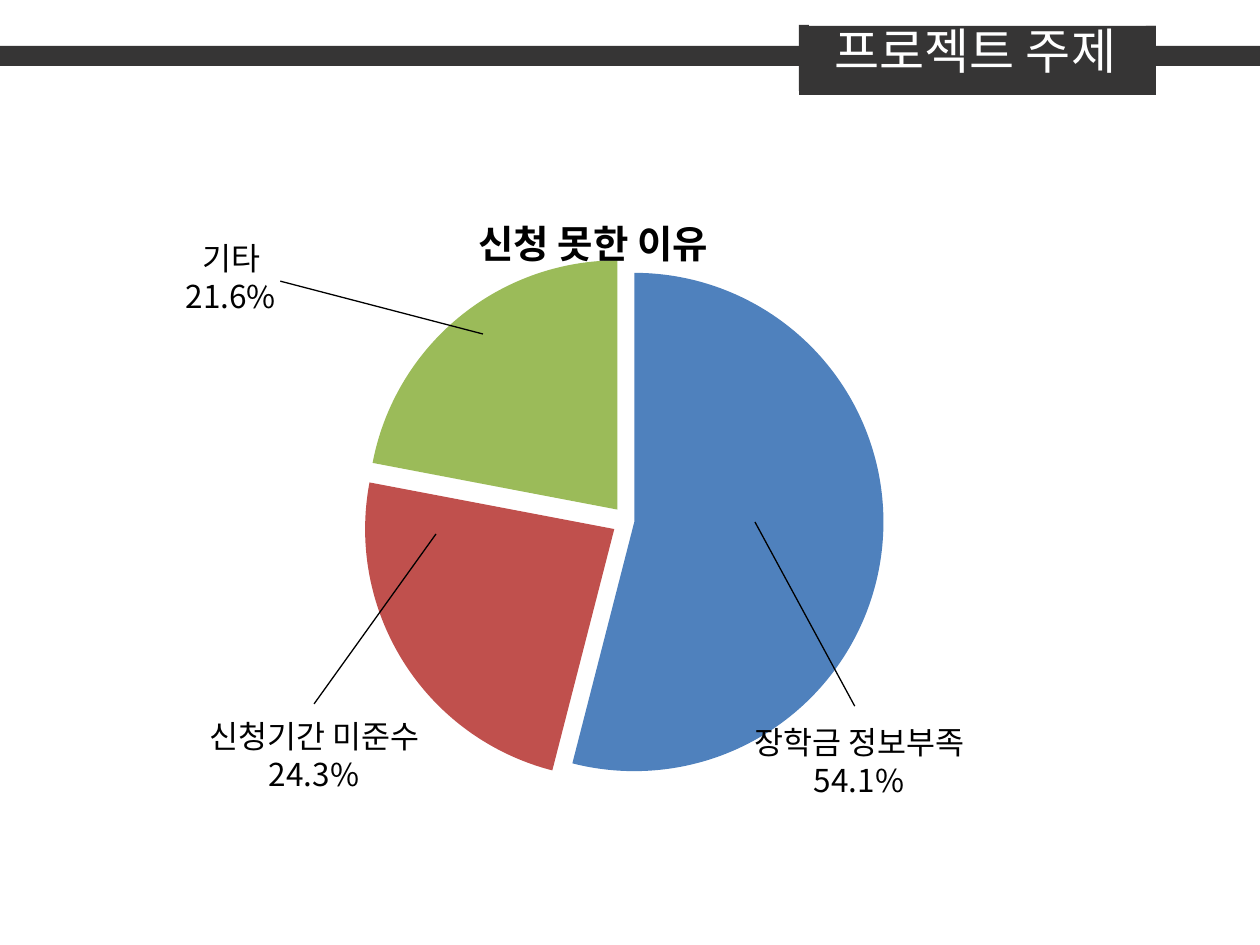
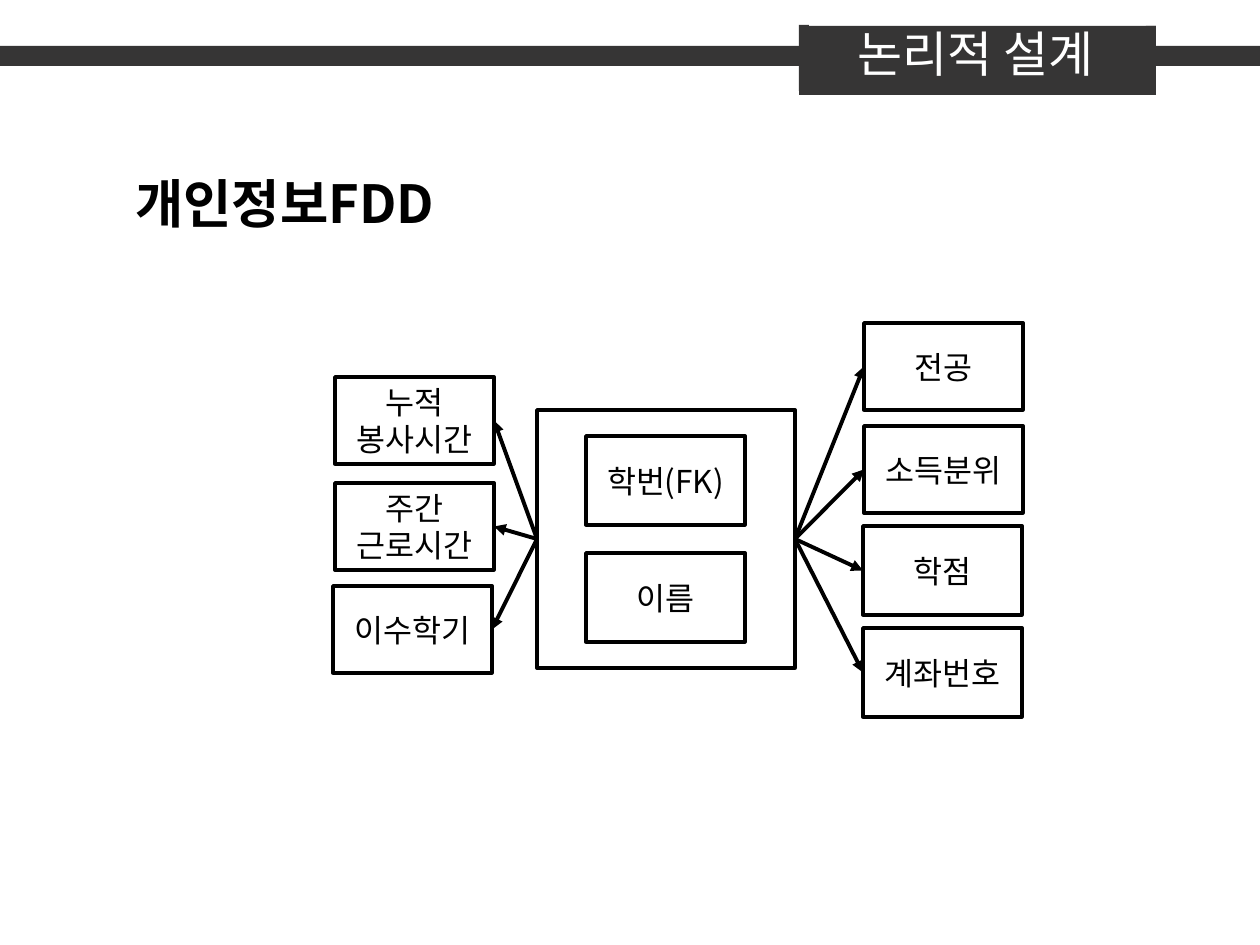
import pptx
import pptx.chart.data
import pptx.dml.color
import pptx.enum.chart
import pptx.enum.shapes
import pptx.enum.text
import pptx.oxml.ns
import pptx.util
from lxml import etree

PX_PER_INCH = 126
FONT = "Noto Sans CJK KR"
COLORS = {
    "band": "363535",
    "ink": "000000",
    "paper": "FFFFFF",
    "slices": ["4F81BD", "C0504D", "9BBB59"],
}
LEFT_SITE, RIGHT_SITE = 1, 3
RECTANGLE = pptx.enum.shapes.MSO_SHAPE.RECTANGLE
OVAL = pptx.enum.shapes.MSO_SHAPE.OVAL
ALIGN = pptx.enum.text.PP_ALIGN
ANCHOR = pptx.enum.text.MSO_ANCHOR

# name, percent, label box, dot centre within the label box, leader start in the chart box
REASONS = [
    ("장학금 정보부족", 54.1, (718, 717, 282, 89), (141, -3), (548, 278)),
    ("신청기간 미준수", 24.3, (180, 711, 268, 89), (129, 0), (229, 290)),
    ("기타", 21.6, (97, 233, 268, 89), (175, 46), (276, 90)),
]
EXPLOSIONS = [3, 6, 6]

# lines of text, then the box within the diagram
KEYS = [
    (["학번(FK)"], (253, 113, 159, 89)),
    (["이름"], (253, 230, 159, 89)),
]
LEFT_FIELDS = [
    (["누적", "봉사시간"], (2, 54, 159, 87)),
    (["주간", "근로시간"], (2, 160, 159, 87)),
    (["이수학기"], (0, 263, 159, 87)),
]
RIGHT_FIELDS = [
    (["전공"], (531, 0, 159, 87)),
    (["소득분위"], (531, 103, 159, 87)),
    (["학점"], (530, 203, 159, 89)),
    (["계좌번호"], (530, 305, 159, 89)),
]


def px(length):
    return round(length * pptx.util.Inches(1) / PX_PER_INCH)


def emu(box):
    return [px(length) for length in box]


def within(region, box):
    """Turn a box relative to a region into a box on the slide."""
    return (region[0] + box[0], region[1] + box[1], *box[2:])


def rgb(color):
    return pptx.dml.color.RGBColor.from_string(color)


def write(shape, lines, size=18, bold=False, color=COLORS["ink"],
          align=ALIGN.CENTER, anchor=ANCHOR.TOP):
    frame = shape.text_frame
    frame.word_wrap = True
    frame.auto_size = pptx.enum.text.MSO_AUTO_SIZE.NONE
    frame.vertical_anchor = anchor
    frame.text = "\n".join(lines)
    for paragraph in frame.paragraphs:
        paragraph.alignment = align
        for run in paragraph.runs:
            run.font.name = FONT
            run.font.size = pptx.util.Pt(size)
            run.font.bold = bold
            run.font.color.rgb = rgb(color)
            etree.SubElement(run.font._element, pptx.oxml.ns.qn("a:ea"), typeface=FONT)


def add_text(slide, box, lines, **text_format):
    write(slide.shapes.add_textbox(*emu(box)), lines, **text_format)


def add_block(slide, box, fill, outline=None, kind=RECTANGLE):
    block = slide.shapes.add_shape(kind, *emu(box))
    block.shadow.inherit = False
    block.fill.solid()
    block.fill.fore_color.rgb = rgb(fill)
    if outline:
        block.line.color.rgb = rgb(outline)
        block.line.width = pptx.util.Pt(2)
    else:
        block.line.fill.background()
    return block


def add_line(slide, start, end, width):
    line = slide.shapes.add_connector(
        pptx.enum.shapes.MSO_CONNECTOR.STRAIGHT, *emu(start), *emu(end))
    line.line.color.rgb = rgb(COLORS["ink"])
    line.line.width = pptx.util.Pt(width)
    etree.SubElement(line.element.spPr, pptx.oxml.ns.qn("a:effectLst"))
    return line


def add_titled_slide(deck, title_text, title_top):
    """Start a slide with the dark band and the title on its tag."""
    slide = deck.slides.add_slide(deck.slide_layouts[5])
    tag = (799, 26, 357, 69)
    add_block(slide, (0, 46, 1260, 20), COLORS["band"])
    for part in [(0, 0, 357, 69), (0, -1, 10, 66), (347, 0, 10, 66)]:
        front = add_block(slide, within(tag, part), COLORS["band"])
    title = slide.shapes.title
    title.left, title.top, title.width, title.height = emu((tag[0], title_top, 353, 72))
    write(title, [title_text], size=28, color=COLORS["paper"])
    front.element.addnext(title.element)
    return slide


def add_reason_pie(slide, box):
    data = pptx.chart.data.CategoryChartData()
    data.categories = [reason[0] for reason in REASONS]
    data.add_series("신청 못한 이유", [round(reason[1]) for reason in REASONS])
    chart = slide.shapes.add_chart(
        pptx.enum.chart.XL_CHART_TYPE.PIE, *emu(box), data).chart
    chart.has_title = False
    chart.has_legend = False
    chart.font.name = FONT
    chart.font.size = pptx.util.Pt(10)
    chart.font.color.rgb = rgb(COLORS["ink"])
    plot = chart.plots[0]
    plot.vary_by_categories = True
    series = plot.series[0]
    for index, color in enumerate(COLORS["slices"]):
        fill = series.points[index].format.fill
        fill.solid()
        fill.fore_color.rgb = rgb(color)
    qn = pptx.oxml.ns.qn
    for point, distance in zip(series._element.findall(qn("c:dPt")), EXPLOSIONS):
        explosion = etree.Element(qn("c:explosion"), val=str(distance))
        point.find(qn("c:spPr")).addprevious(explosion)
    place_plot(chart, x=0.2, y=0.05, w=0.6, h=0.89)


def place_plot(chart, **fractions):
    qn = pptx.oxml.ns.qn
    plot_area = chart._chartSpace.chart.plotArea
    for layout in plot_area.findall(qn("c:layout")):
        plot_area.remove(layout)
    layout = etree.Element(qn("c:layout"))
    plot_area.insert(0, layout)
    manual = etree.SubElement(layout, qn("c:manualLayout"))
    settings = {"layoutTarget": "inner", "xMode": "edge", "yMode": "edge", **fractions}
    for name, value in settings.items():
        etree.SubElement(manual, qn("c:" + name), val=str(value))


def add_callout(slide, label_box, lines, dot_offset, leader_start):
    """Label a slice, with a leader that stops at a white dot."""
    dot_center = within(label_box, dot_offset)
    add_text(slide, label_box, lines)
    add_line(slide, leader_start, dot_center, 0.75)
    add_block(slide, within(dot_center, (-7, -7, 14, 14)),
              COLORS["paper"], COLORS["paper"], OVAL)


def add_field(slide, box, lines=()):
    field = add_block(slide, box, COLORS["paper"], COLORS["ink"])
    if lines:
        write(field, lines, anchor=ANCHOR.MIDDLE)
    return field


def add_dependents(slide, region, key_box, fields, key_site, field_site):
    """Place the fields on one side and point an arrow at each from the key box."""
    for lines, box in fields:
        field = add_field(slide, within(region, box), lines)
        arrow = add_line(slide, (0, 0), (1, 1), 2.25)
        arrow.begin_connect(key_box, key_site)
        arrow.end_connect(field, field_site)
        etree.SubElement(arrow.line._get_or_add_ln(),
                         pptx.oxml.ns.qn("a:tailEnd"), type="triangle")


def add_dependency_diagram(slide, region):
    key_box = add_field(slide, within(region, (204, 87, 258, 258)))
    for lines, box in KEYS:
        add_field(slide, within(region, box), lines)
    add_dependents(slide, region, key_box, RIGHT_FIELDS, RIGHT_SITE, LEFT_SITE)
    add_dependents(slide, region, key_box, LEFT_FIELDS, LEFT_SITE, RIGHT_SITE)


def build_topic_slide(deck):
    slide = add_titled_slide(deck, "프로젝트 주제", 14)
    chart_box = (207, 244, 840, 560)
    add_reason_pie(slide, chart_box)
    add_text(slide, (466, 214, 321, 59), ["신청 못한 이유"],
             size=22, bold=True, align=ALIGN.LEFT)
    for name, percent, label_box, dot_offset, leader_start in REASONS:
        add_callout(slide, label_box, [name, f"{percent}%"], dot_offset,
                    within(chart_box, leader_start))


def build_design_slide(deck):
    slide = add_titled_slide(deck, "논리적 설계", 17)
    add_text(slide, (123, 165, 369, 77), ["개인정보FDD"],
             size=30, bold=True, align=ALIGN.LEFT)
    add_dependency_diagram(slide, (333, 323, 690, 394))


def main():
    deck = pptx.Presentation()
    deck.slide_width, deck.slide_height = px(1260), px(945)
    build_topic_slide(deck)
    build_design_slide(deck)
    deck.save("out.pptx")


if __name__ == "__main__":
    main()
